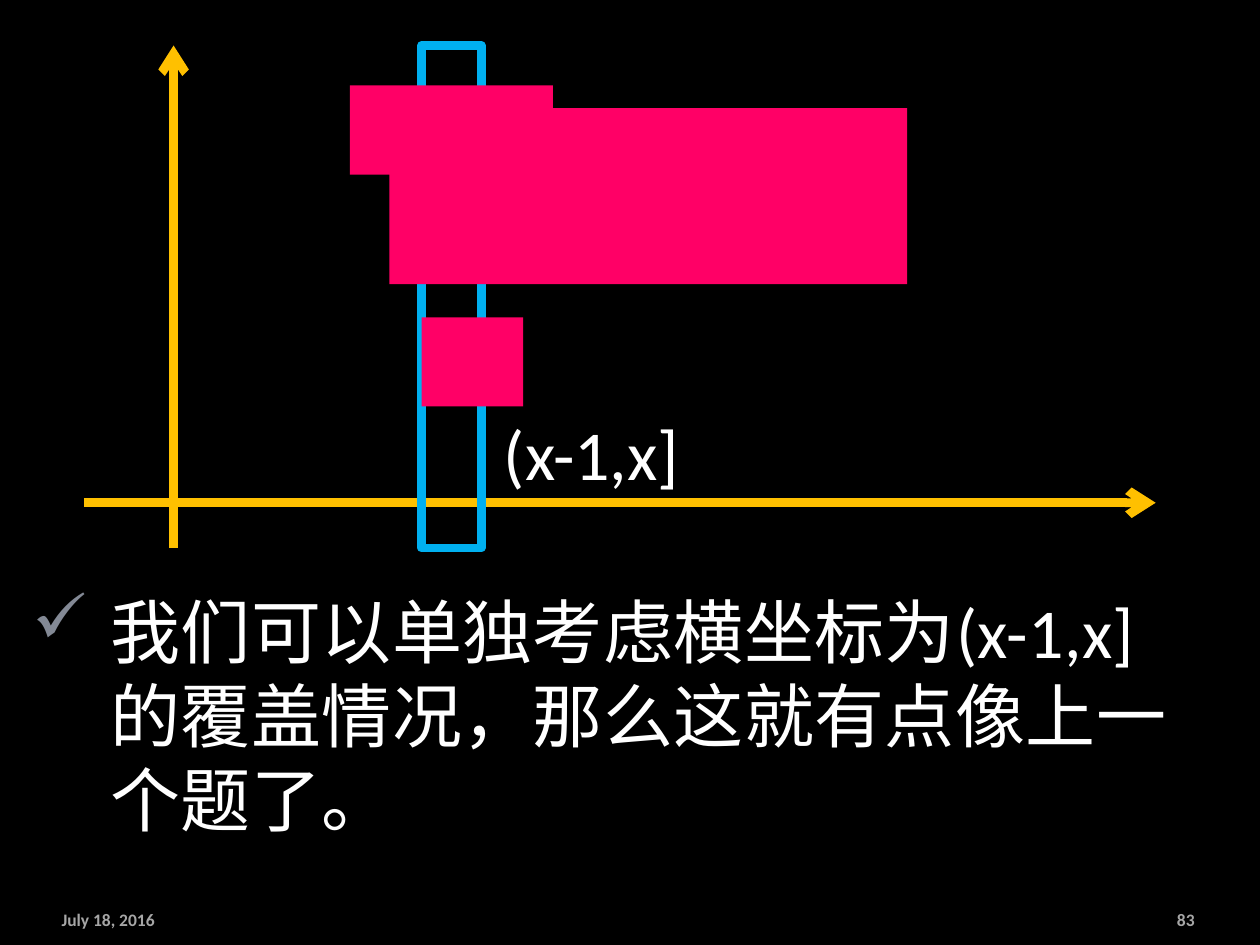
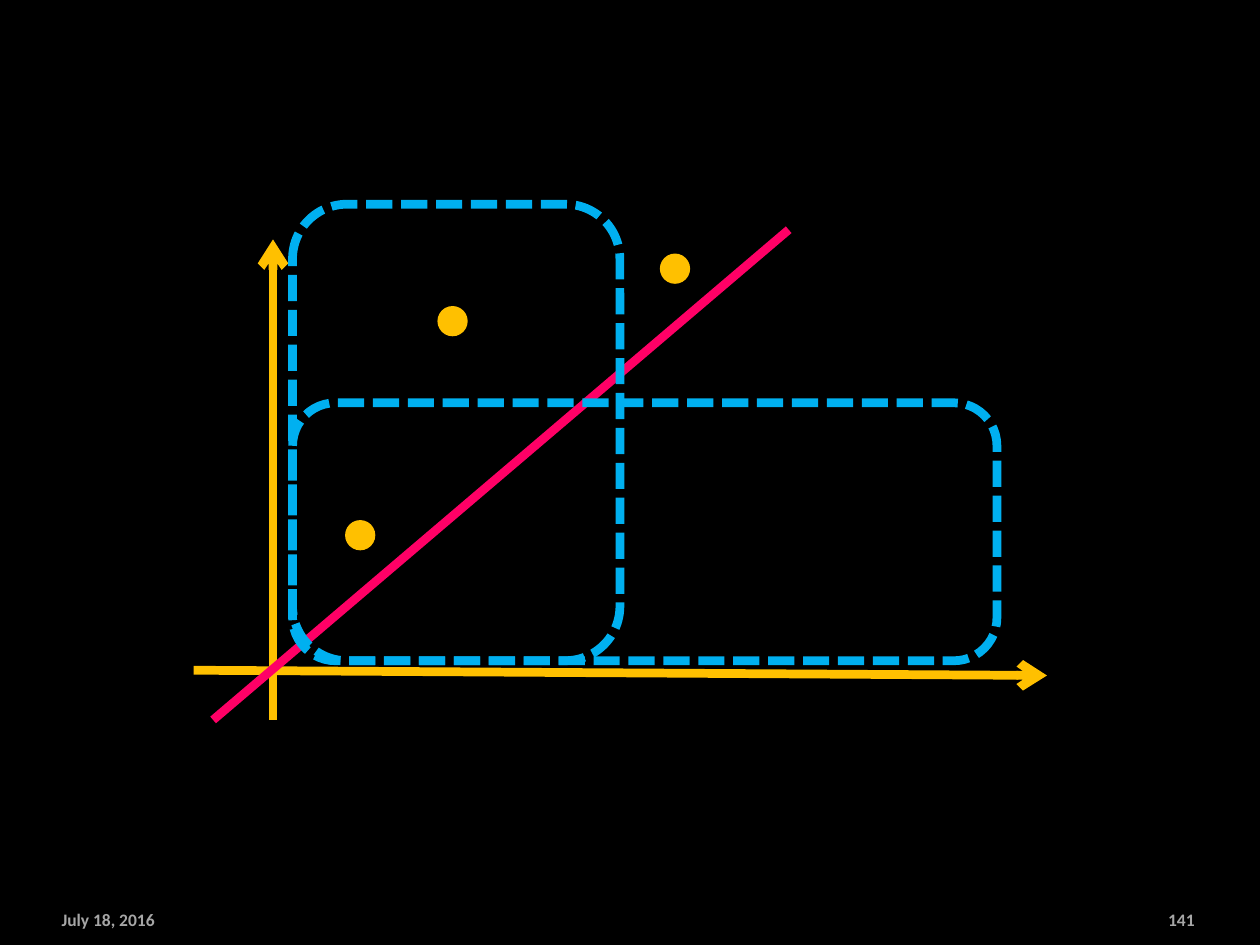
"""Build two dark slides on covering an interval of a coordinate plane."""
import pptx
import pptx.dml.color
import pptx.enum.dml
import pptx.enum.shapes
import pptx.enum.text
import pptx.oxml.ns
import pptx.util
from lxml import etree

Pt = pptx.util.Pt
RGBColor = pptx.dml.color.RGBColor
MSO_SHAPE = pptx.enum.shapes.MSO_SHAPE
PP_ALIGN = pptx.enum.text.PP_ALIGN
MSO_ANCHOR = pptx.enum.text.MSO_ANCHOR
qn = pptx.oxml.ns.qn

BLACK = RGBColor(0x00, 0x00, 0x00)
WHITE = RGBColor(0xFF, 0xFF, 0xFF)
GOLD = RGBColor(0xFF, 0xC0, 0x00)
BLUE = RGBColor(0x00, 0xB0, 0xF0)
PINK = RGBColor(0xFF, 0x00, 0x66)
FOOTER_GREY = RGBColor(0xA6, 0xA6, 0xA6)
CHECK_GREY = "838995"

FONT = "Calibri"
STROKE = 5
DOT_SIZE = 17.3


def add_text(slide, box, text, size, color, bold=False, align=PP_ALIGN.LEFT,
             anchor=MSO_ANCHOR.TOP, wrap=True, check=False):
    textbox = slide.shapes.add_textbox(*map(Pt, box))
    frame = textbox.text_frame
    frame.word_wrap = wrap
    frame.vertical_anchor = anchor
    frame.text = text
    paragraph = frame.paragraphs[0]
    paragraph.alignment = align
    if check:
        add_check_bullet(paragraph)
    font = paragraph.runs[0].font
    font.name, font.size, font.bold = FONT, Pt(size), bold
    font.color.rgb = color
    return paragraph


def add_check_bullet(paragraph, indent=44.6):
    properties = paragraph._p.get_or_add_pPr()
    properties.set("marL", str(Pt(indent)))
    properties.set("indent", str(-Pt(indent)))
    bullet_color = etree.SubElement(properties, qn("a:buClr"))
    etree.SubElement(bullet_color, qn("a:srgbClr"), val=CHECK_GREY)
    etree.SubElement(properties, qn("a:buChar"), char="✓")


def add_line(slide, start, end, color, arrow=False):
    line = slide.shapes.add_connector(
        pptx.enum.shapes.MSO_CONNECTOR.STRAIGHT, *map(Pt, start + end))
    line.line.color.rgb = color
    line.line.width = Pt(STROKE)
    if arrow:
        etree.SubElement(line.line._get_or_add_ln(), qn("a:tailEnd"), type="arrow")
    etree.SubElement(line._element.spPr, qn("a:effectLst"))


def add_axes(slide, vertical, horizontal):
    for start, end in (vertical, horizontal):
        add_line(slide, start, end, GOLD, arrow=True)


def add_solid(slide, kind, box, color):
    solid = slide.shapes.add_shape(kind, *map(Pt, box))
    solid.shadow.inherit = False
    solid.fill.solid()
    solid.fill.fore_color.rgb = color
    solid.line.fill.background()


def add_outline(slide, kind, box, dash=None):
    outline = slide.shapes.add_shape(kind, *map(Pt, box))
    outline.shadow.inherit = False
    outline.fill.background()
    outline.line.color.rgb = BLUE
    outline.line.width = Pt(STROKE)
    if dash:
        outline.line.dash_style = dash


def add_dark_slide(deck, number):
    slide = deck.slides.add_slide(deck.slide_layouts[6])
    slide.background.fill.solid()
    slide.background.fill.fore_color.rgb = BLACK
    for left, width, text, align in (
            (28.1, 115.2, "July 18, 2016", PP_ALIGN.LEFT),
            (620.6, 69.1, number, PP_ALIGN.RIGHT)):
        add_text(slide, (left, 515.5, width, 19.4), text, 10, FOOTER_GREY,
                 bold=True, align=align, anchor=MSO_ANCHOR.MIDDLE)
    return slide


def build_strip_slide(deck):
    slide = add_dark_slide(deck, "83")
    explanation = add_text(
        slide, (11.5, 332.6, 668.9, 198.7),
        "我们可以单独考虑横坐标为(x-1,x]的覆盖情况，那么这就有点像上一个题了。",
        40, WHITE, check=True)
    explanation.runs[0]._r.get_or_add_rPr().set("spc", "30")
    add_axes(slide, ((99.2, 313.2), (99.2, 26)), ((48, 287.3), (660.4, 287.3)))
    add_outline(slide, MSO_SHAPE.RECTANGLE, (241, 26, 34, 287.2))
    add_text(slide, (280.8, 231.1, 130.3, 55.4), "(x-1,x]", 40, WHITE, wrap=False)
    for covered in ((200, 48.8, 116, 51), (222.5, 61.8, 296, 100.7),
                    (241, 181.3, 58, 51)):
        add_solid(slide, MSO_SHAPE.RECTANGLE, covered, PINK)


def build_diagonal_slide(deck):
    slide = add_dark_slide(deck, "141")
    add_axes(slide, ((156, 411.4), (156, 136.8)), ((110.7, 383), (598.3, 386)))
    for left, top in ((197.2, 297.2), (377.1, 144.9), (250, 174.9)):
        add_solid(slide, MSO_SHAPE.OVAL, (left, top, DOT_SIZE, DOT_SIZE), GOLD)
    add_line(slide, (121.8, 411.4), (450.7, 131.3), PINK)
    for region in ((167.2, 116.7, 187.1, 260.9), (167.2, 230.2, 402.5, 147.4)):
        add_outline(slide, MSO_SHAPE.ROUNDED_RECTANGLE, region,
                    pptx.enum.dml.MSO_LINE.SQUARE_DOT)


def main():
    deck = pptx.Presentation()
    deck.slide_width, deck.slide_height = Pt(720), Pt(540)
    build_strip_slide(deck)
    build_diagonal_slide(deck)
    deck.save("out.pptx")


if __name__ == "__main__":
    main()
